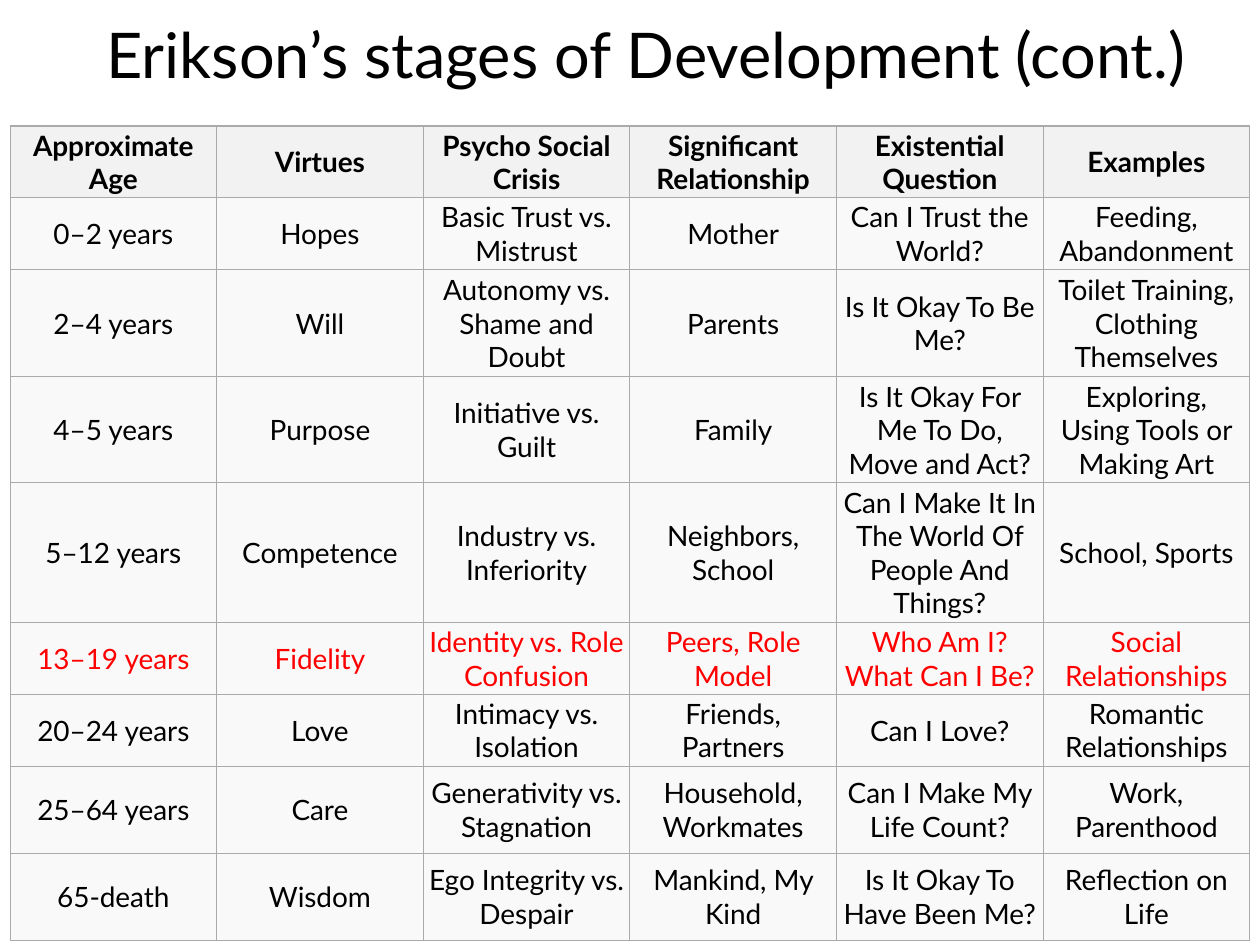
from dataclasses import dataclass

from lxml.etree import SubElement
from pptx import Presentation
from pptx.dml.color import RGBColor
from pptx.enum.text import MSO_ANCHOR as Anchor, MSO_AUTO_SIZE as Fit, PP_ALIGN as Align
from pptx.oxml.ns import qn
from pptx.util import Inches, Pt

WIDE, HIGH = Inches(10), Inches(7.5)
FONT = "Lato"
BLACK, RED, GRAY = "000000", "FF0000", "AAAAAA"
HEAD, BODY = "F2F2F2", "F9F9F9"


@dataclass
class Stage:
    high: float
    words: tuple[str, ...]
    ink: str = BLACK
    fill: str = BODY
    bold: bool = False


STAGES = [
    Stage(0.57, ("Approximate Age", "Virtues", "Psycho Social Crisis",
                 "Significant Relationship", "Existential Question", "Examples"),
          fill=HEAD, bold=True),
    Stage(0.57, ("0–2 years", "Hopes", "Basic Trust vs. Mistrust", "Mother",
                 "Can I Trust the World?", "Feeding, Abandonment")),
    Stage(0.85, ("2–4 years", "Will", "Autonomy vs. Shame and Doubt", "Parents",
                 "Is It Okay To Be Me?", "Toilet Training, Clothing Themselves")),
    Stage(0.84, ("4–5 years", "Purpose", "Initiative vs. Guilt", "Family",
                 "Is It Okay For Me To Do, Move and Act?",
                 "Exploring, Using Tools or Making Art")),
    Stage(1.11, ("5–12 years", "Competence", "Industry vs. Inferiority",
                 "Neighbors, School",
                 "Can I Make It In The World Of People And Things?",
                 "School, Sports")),
    Stage(0.57, ("13–19 years", "Fidelity", "Identity vs. Role Confusion",
                 "Peers, Role Model", "Who Am I? What Can I Be?",
                 "Social Relationships"), ink=RED),
    Stage(0.57, ("20–24 years", "Love", "Intimacy vs. Isolation",
                 "Friends, Partners", "Can I Love?", "Romantic Relationships")),
    Stage(0.69, ("25–64 years", "Care", "Generativity vs. Stagnation",
                 "Household, Workmates", "Can I Make My Life Count?",
                 "Work, Parenthood")),
    Stage(0.69, ("65-death", "Wisdom", "Ego Integrity vs. Despair",
                 "Mankind, My Kind", "Is It Okay To Have Been Me?",
                 "Reflection on Life")),
]


def paint(target, tone: str) -> None:
    target.rgb = RGBColor.from_string(tone)


def style(para, size: float, ink: str, bold: bool = False) -> None:
    para.alignment = Align.CENTER
    para.font.name, para.font.size, para.font.bold = FONT, Pt(size), bold
    paint(para.font.color, ink)


def border(cell, tone: str, width: float) -> None:
    props = cell._tc.get_or_add_tcPr()
    for side in ("a:lnL", "a:lnR", "a:lnT", "a:lnB"):
        line = SubElement(props, qn(side), w=str(Pt(width)))
        SubElement(SubElement(line, qn("a:solidFill")), qn("a:srgbClr"), val=tone)


def write(cell, text: str, stage: Stage) -> None:
    cell.text = text
    cell.vertical_anchor = Anchor.MIDDLE
    cell.margin_left = cell.margin_right = Inches(0.04)
    cell.margin_top = cell.margin_bottom = Inches(0.02)
    style(cell.text_frame.paragraphs[0], 16, stage.ink, stage.bold)
    border(cell, GRAY, 0.75)
    cell.fill.solid()
    paint(cell.fill.fore_color, stage.fill)


def add_title(slide, text: str) -> None:
    title = slide.shapes.title
    title.left, title.top = int(WIDE * 0.025), Inches(-0.08)
    title.width, title.height = int(WIDE * 0.975), Inches(1)
    frame = title.text_frame
    frame.text = text
    frame.word_wrap, frame.auto_size = True, Fit.NONE
    frame.vertical_anchor = Anchor.MIDDLE
    style(frame.paragraphs[0], 36, BLACK)


def add_grid(slide, stages: list[Stage]) -> None:
    edge = Inches(0.08)
    wide = WIDE - 2 * edge
    high = Inches(sum(stage.high for stage in stages))
    count = len(stages[0].words)
    table = slide.shapes.add_table(len(stages), count, edge, Inches(1), wide, high).table
    table.horz_banding = False
    for col in table.columns:
        col.width = wide // count
    for row, stage in zip(table.rows, stages):
        row.height = Inches(stage.high)
        for cell, text in zip(row.cells, stage.words):
            write(cell, text, stage)


def main() -> None:
    deck = Presentation()
    deck.slide_width, deck.slide_height = WIDE, HIGH
    slide = deck.slides.add_slide(deck.slide_layouts[5])
    add_title(slide, "Erikson’s stages of Development (cont.)")
    add_grid(slide, STAGES)
    deck.save("out.pptx")


if __name__ == "__main__":
    main()
